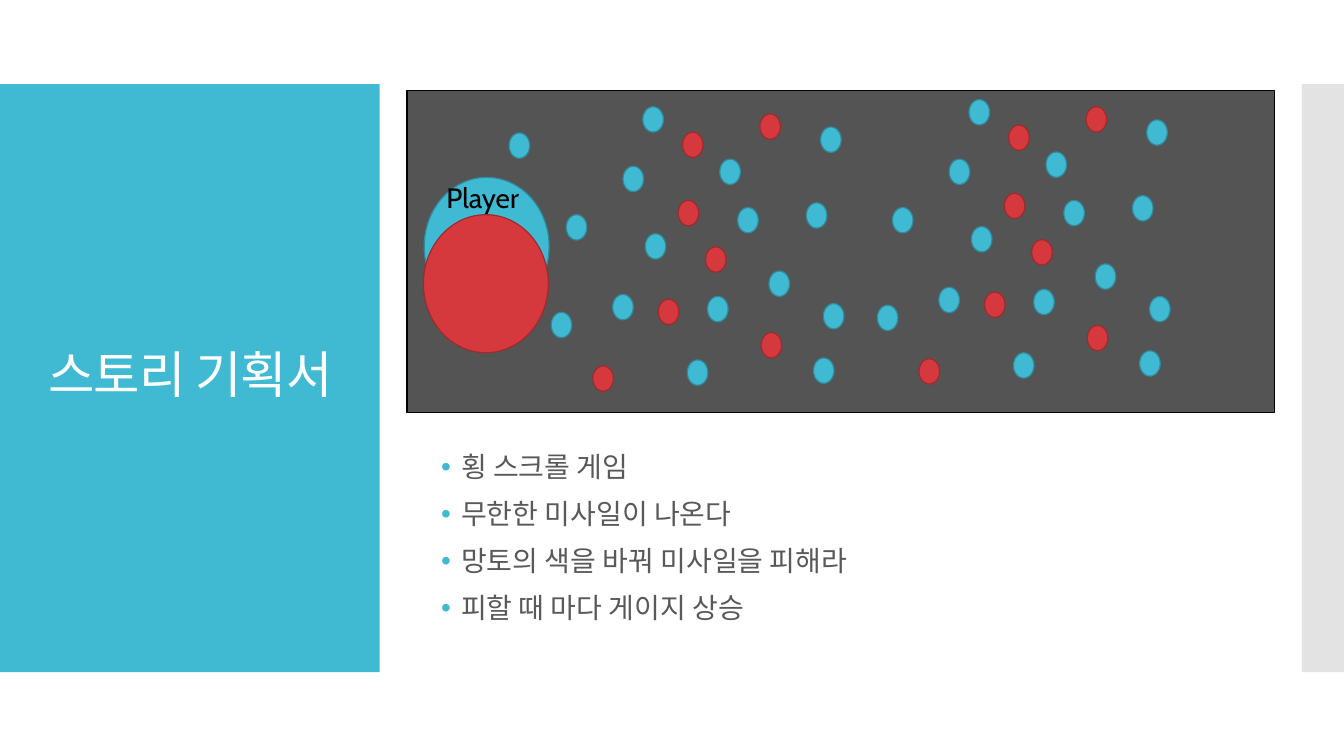
from lxml.etree import SubElement
from pptx import Presentation
from pptx.dml.color import RGBColor
from pptx.enum.shapes import MSO_SHAPE as Preset
from pptx.enum.text import MSO_ANCHOR as Anchor, PP_ALIGN as Align
from pptx.oxml import parse_xml
from pptx.oxml.ns import nsdecls, qn
from pptx.util import Cm, Pt

WHITE = RGBColor(0xFF, 0xFF, 0xFF)
BLACK = RGBColor(0, 0, 0)
TEXT_GRAY = RGBColor(0x59, 0x59, 0x59)
STAGE_GRAY = RGBColor(0x54, 0x54, 0x54)
EDGE_GRAY = RGBColor(0xC8, 0xC8, 0xC8)
BLUE = RGBColor(0x40, 0xBA, 0xD2)
DARK_BLUE = RGBColor(0x2F, 0x8A, 0x9B)
RED = RGBColor(0xD5, 0x39, 0x3D)
DARK_RED = RGBColor(0x9E, 0x2A, 0x2D)

LATIN = "Cabin"
HANGUL = "Noto Sans CJK KR"


class SlideBuilder:
    def __init__(self, slide):
        self.slide = slide
        self.shapes = slide.shapes

    def start_group(self):
        self.shapes = self.slide.shapes.add_group_shape().shapes

    def shape(self, preset, box, fill, line=None, opacity=None):
        shape = self.shapes.add_shape(preset, *map(Cm, box))
        shape.shadow.inherit = False
        shape.fill.solid()
        shape.fill.fore_color.rgb = fill
        if opacity is not None:
            color = shape.fill._xPr.find(qn("a:solidFill"))[0]
            SubElement(color, qn("a:alpha"), val=str(opacity * 1000))
        if line is None:
            shape.line.fill.background()
        else:
            shape.line.color.rgb = line
            shape.line.width = Pt(0.85)

    def ball(self, box, colors):
        self.shape(Preset.OVAL, box, *colors)

    def text(self, box, lines, size, color, font=LATIN, anchor=Anchor.TOP,
             align=Align.LEFT, line_spacing=1.0, tracking=0, bullet=None):
        frame = self.shapes.add_textbox(*map(Cm, box)).text_frame
        frame.word_wrap = True
        frame.vertical_anchor = anchor
        frame.text = "\n".join(lines)
        for paragraph in frame.paragraphs:
            paragraph.alignment = align
            paragraph.line_spacing = line_spacing
            paragraph.font.size = Pt(size)
            paragraph.font.color.rgb = color
            paragraph.font.name = font
            properties = paragraph._p.get_or_add_pPr()
            defaults = properties.find(qn("a:defRPr"))
            defaults.set("spc", str(tracking))
            SubElement(defaults, qn("a:ea"), typeface=HANGUL)
            if bullet is not None:
                paragraph.space_before = Pt(12)
                self.bullet(properties, defaults, bullet)

    def bullet(self, properties, defaults, color):
        indent = Cm(0.5)
        properties.set("marL", str(indent))
        properties.set("indent", str(-indent))
        for xml in (
            f'<a:buClr {nsdecls("a")}><a:srgbClr val="{color}"/></a:buClr>',
            f'<a:buFont {nsdecls("a")} typeface="Arial"/>',
            f'<a:buChar {nsdecls("a")} char="•"/>',
        ):
            defaults.addprevious(parse_xml(xml))


BLUE_BALL = (BLUE, DARK_BLUE)
RED_BALL = (RED, DARK_RED)
PLAYER_SIZE = (3.15, 3.48)
MISSILE_SIZE = (0.52, 0.64)
WAVE_SHIFTS = [(0, 0), (8.22, -0.18)]
LONE_MISSILE = (12.83, 3.35)
BLUE_MISSILES = [
    (16.2, 2.69), (13.89, 7.87), (15.44, 7.42), (15.7, 4.19), (14.27, 5.41),
    (17.32, 9.07), (16.26, 5.89), (18.14, 4.01), (18.59, 5.23), (17.83, 7.47),
    (19.38, 6.83), (20.75, 7.65), (20.32, 5.11), (20.68, 3.2), (20.5, 9.02),
]
RED_MISSILES = [
    (17.2, 3.33), (17.09, 5.05), (16.59, 7.54), (19.15, 2.87),
    (14.94, 9.22), (19.18, 8.38), (17.78, 6.22),
]
STORY_POINTS = [
    "횡 스크롤 게임",
    "무한한 미사일이 나온다",
    "망토의 색을 바꿔 미사일을 피해라",
    "피할 때 마다 게이지 상승",
]

deck = Presentation()
deck.slide_width, deck.slide_height = Cm(33.87), Cm(19.05)
story = SlideBuilder(deck.slides.add_slide(deck.slide_layouts[6]))

story.shape(Preset.RECTANGLE, (0, 2.12, 9.57, 14.82), BLUE)
story.shape(Preset.RECTANGLE, (32.81, 2.12, 1.06, 14.82), EDGE_GRAY, opacity=50)
story.text((0.71, 3.12, 8.18, 12.78), ["스토리 기획서"], 36, WHITE, font=HANGUL,
           anchor=Anchor.MIDDLE, align=Align.CENTER, line_spacing=0.9, tracking=-60)
story.text((10.87, 11.1, 20.32, 4.98), STORY_POINTS, 20, TEXT_GRAY,
           anchor=Anchor.MIDDLE, line_spacing=0.9, bullet=BLUE)

story.start_group()
story.shape(Preset.RECTANGLE, (10.26, 2.29, 21.87, 8.1), STAGE_GRAY, BLACK)
story.ball((10.69, 4.47, *PLAYER_SIZE), BLUE_BALL)
story.text((11, 4.42, 4.17, 1.3), ["Player"], 20, BLACK)
story.ball((10.67, 5.41, *PLAYER_SIZE), RED_BALL)

story.ball((*LONE_MISSILE, *MISSILE_SIZE), BLUE_BALL)
for shift_x, shift_y in WAVE_SHIFTS:
    for missiles, colors in ((BLUE_MISSILES, BLUE_BALL), (RED_MISSILES, RED_BALL)):
        for x, y in missiles:
            story.ball((x + shift_x, y + shift_y, *MISSILE_SIZE), colors)

deck.save("out.pptx")
